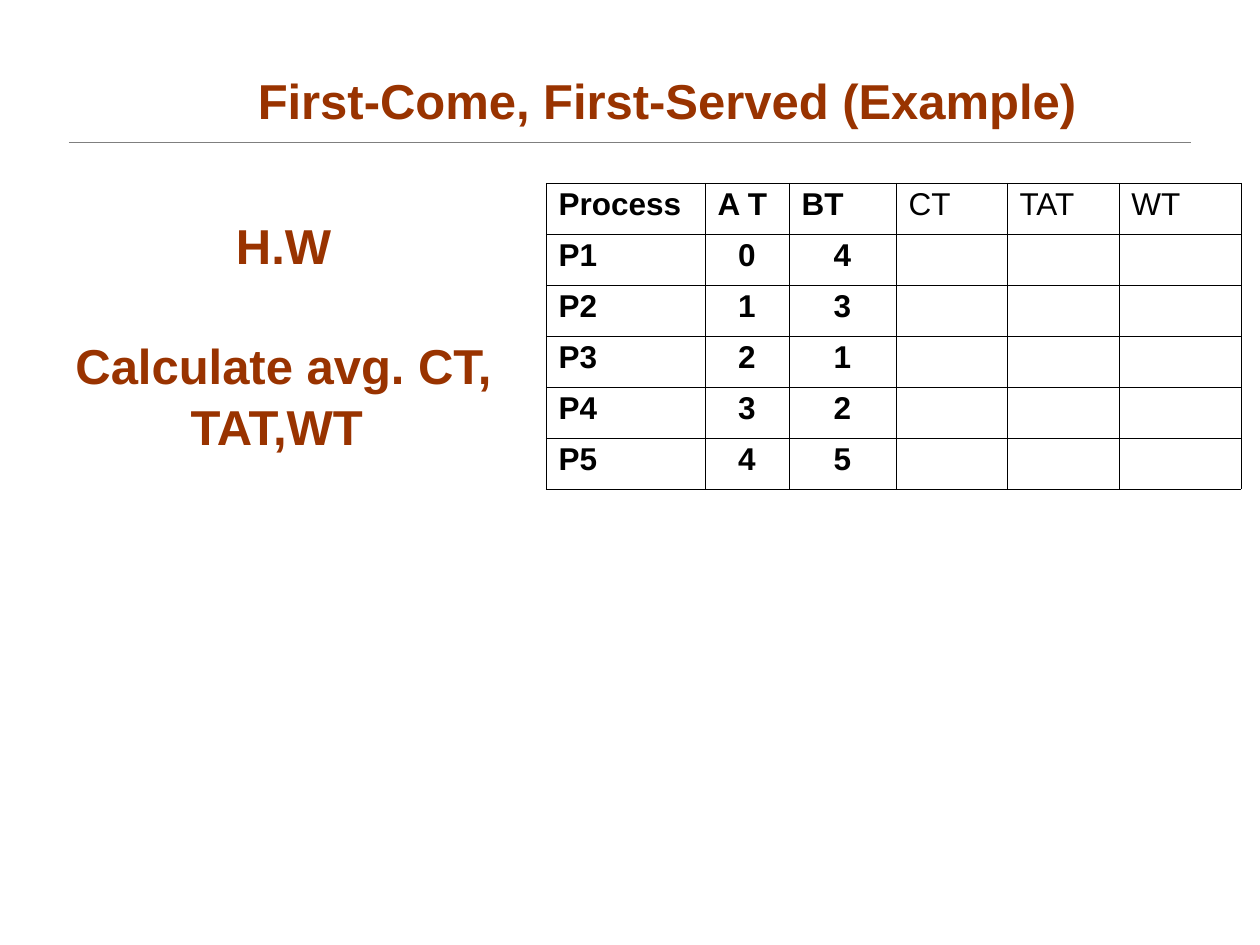
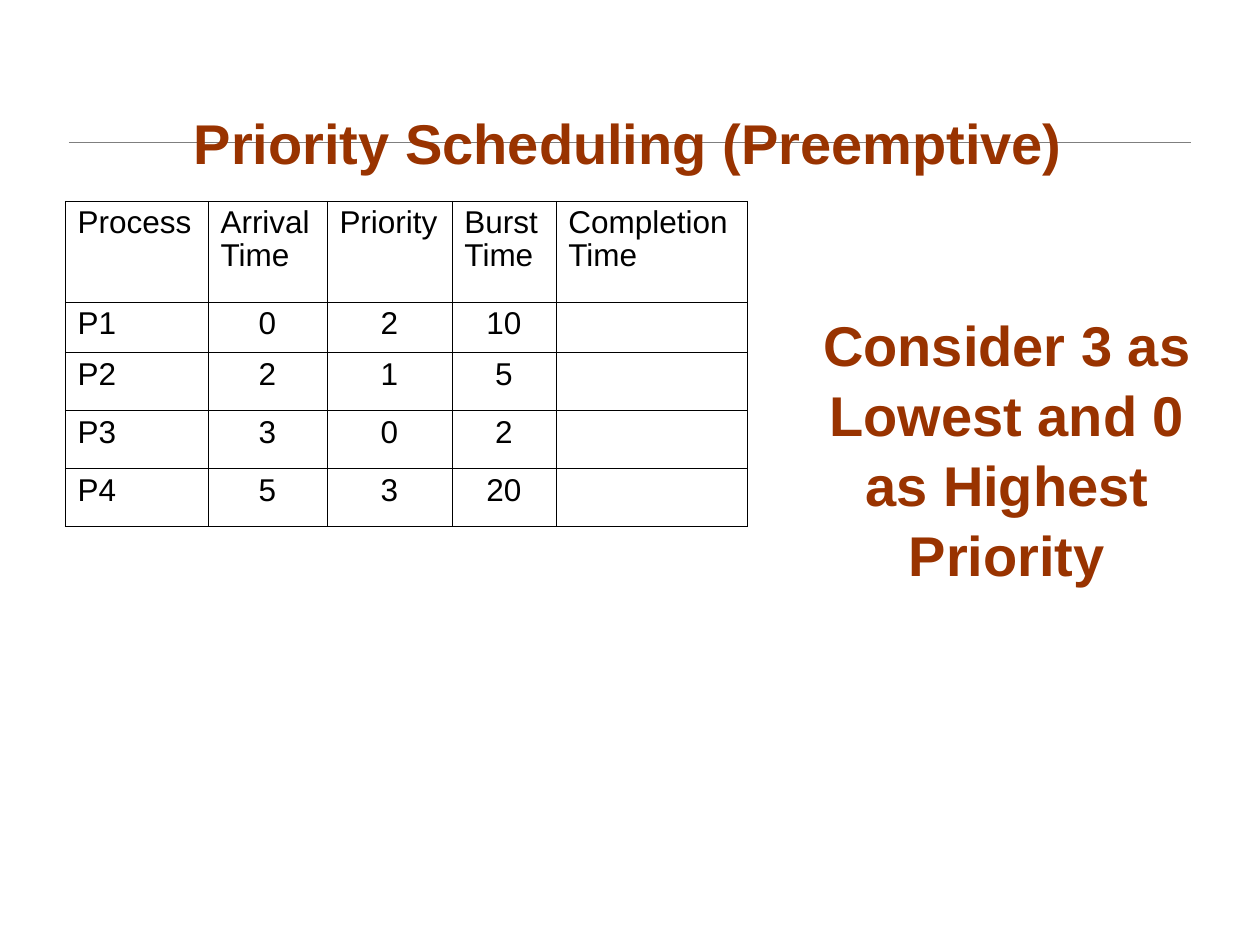
"""Build two CPU scheduling exercise slides, each with a title, a process table and a note."""

from dataclasses import dataclass

import lxml.etree
import pptx
import pptx.dml.color
import pptx.enum.shapes
import pptx.enum.text
import pptx.oxml
import pptx.oxml.ns
import pptx.presentation
import pptx.slide
import pptx.table
import pptx.text.text
import pptx.util

PX_PER_INCH = 126
ALIGN = pptx.enum.text.PP_ALIGN


@dataclass(frozen=True)
class Theme:
    font: str = "Arial"
    heading: str = "993300"
    body: str = "000000"
    rule: str = "7F7F7F"
    border: str = "000000"
    rule_pt: float = 0.25
    border_pt: float = 0.11
    body_pt: int = 18
    heading_spacing: float = 1.04
    cell_spacing: float = 0.94


@dataclass(frozen=True)
class Box:
    left: int
    top: int
    width: int
    height: int


@dataclass(frozen=True)
class Heading:
    box: Box
    lines: tuple[str, ...]
    gap_pt: float = 0


@dataclass(frozen=True)
class ProcessTable:
    left: int
    top: int
    columns: tuple[int, ...]
    heights: tuple[int, ...]
    rows: tuple[tuple[str, ...], ...]
    bold_columns: int = 0


@dataclass(frozen=True)
class Exercise:
    heading_pt: int
    title: Heading
    table: ProcessTable
    note: Heading


THEME = Theme()
RULE = Box(69, 142, 1122, 0)

EXERCISES = (
    Exercise(
        heading_pt=28,
        title=Heading(Box(168, 63, 998, 73), ("First-Come, First-Served (Example)",)),
        table=ProcessTable(
            left=546,
            top=183,
            columns=(159, 84, 107, 111, 112, 122),
            heights=(51,) * 6,
            rows=(
                ("Process", "A T", "BT", "CT", "TAT", "WT"),
                ("P1", "0", "4"),
                ("P2", "1", "3"),
                ("P3", "2", "1"),
                ("P4", "3", "2"),
                ("P5", "4", "5"),
            ),
            bold_columns=3,
        ),
        note=Heading(Box(63, 210, 441, 252), ("H.W", "Calculate avg. CT, TAT,WT "), 33.5),
    ),
    Exercise(
        heading_pt=32,
        title=Heading(Box(93, 92, 1071, 90), ("Priority Scheduling (Preemptive)",)),
        table=ProcessTable(
            left=65,
            top=201,
            columns=(143, 119, 125, 104, 191),
            heights=(101, 50, 58, 58, 58),
            rows=(
                ("Process", "Arrival Time", "Priority", "Burst Time", "Completion Time"),
                ("P1", "0", "2", "10"),
                ("P2", "2", "1", "5"),
                ("P3", "3", "0", "2"),
                ("P4", "5", "3", "20"),
            ),
        ),
        note=Heading(Box(782, 275, 450, 319), ("Consider 3 as Lowest and 0 as Highest Priority",)),
    ),
)


def px(length: int) -> int:
    """Turn pixels into EMU."""
    return pptx.util.Emu(round(length * 914400 / PX_PER_INCH))


def rgb(value: str) -> pptx.dml.color.RGBColor:
    """Turn a hex string into a colour."""
    return pptx.dml.color.RGBColor.from_string(value)


def style_runs(p: pptx.text.text._Paragraph, size: int, color: str, bold: bool) -> None:
    """Format every run of a paragraph."""
    for r in p.runs:
        r.font.name = THEME.font
        r.font.size = pptx.util.Pt(size)
        r.font.bold = bold
        r.font.color.rgb = rgb(color)


def add_rule(s: pptx.slide.Slide) -> None:
    """Draw the thin line under the title area."""
    line = s.shapes.add_connector(
        pptx.enum.shapes.MSO_CONNECTOR.STRAIGHT,
        px(RULE.left), px(RULE.top), px(RULE.left + RULE.width), px(RULE.top),
    )
    line.line.color.rgb = rgb(THEME.rule)
    line.line.width = pptx.util.Pt(THEME.rule_pt)
    lxml.etree.SubElement(line._element.spPr, pptx.oxml.ns.qn("a:effectLst"))


def add_heading(s: pptx.slide.Slide, heading: Heading, size: int) -> None:
    """Add bold centred text resting on the bottom of its box."""
    box = heading.box
    sp = s.shapes.add_textbox(px(box.left), px(box.top), px(box.width), px(box.height))
    tf = sp.text_frame
    tf.word_wrap = True
    tf.vertical_anchor = pptx.enum.text.MSO_ANCHOR.BOTTOM
    tf.text = "\n".join(heading.lines)
    for i, p in enumerate(tf.paragraphs):
        p.alignment = ALIGN.CENTER
        p.line_spacing = THEME.heading_spacing
        if i:
            p.space_before = pptx.util.Pt(heading.gap_pt)
        style_runs(p, size, THEME.heading, True)


def add_borders(cell: pptx.table._Cell) -> None:
    """Give a cell thin lines on all four sides."""
    tc_pr = cell._tc.get_or_add_tcPr()
    width = pptx.util.Pt(THEME.border_pt)
    for i, side in enumerate("LRTB"):
        tc_pr.insert(i, pptx.oxml.parse_xml(
            f'<a:ln{side} {pptx.oxml.ns.nsdecls("a")} w="{width}"><a:solidFill>'
            f'<a:srgbClr val="{THEME.border}"/></a:solidFill></a:ln{side}>'
        ))


def add_process_table(s: pptx.slide.Slide, spec_table: ProcessTable) -> None:
    """Add a ruled process table, leaving the columns to be worked out empty."""
    columns, heights = spec_table.columns, spec_table.heights
    table = s.shapes.add_table(
        len(heights), len(columns), px(spec_table.left), px(spec_table.top),
        px(sum(columns)), px(sum(heights)),
    ).table
    table.first_row = table.horz_banding = False
    for column, width in zip(table.columns, columns):
        column.width = px(width)
    for i, height in enumerate(heights):
        table.rows[i].height = px(height)
        for j in range(len(columns)):
            cell = table.cell(i, j)
            cell.fill.background()
            add_borders(cell)
            p = cell.text_frame.paragraphs[0]
            p.line_spacing = THEME.cell_spacing
            if j < len(spec_table.rows[i]):
                p.text = spec_table.rows[i][j]
                p.alignment = ALIGN.CENTER if i and j else ALIGN.LEFT
                style_runs(p, THEME.body_pt, THEME.body, j < spec_table.bold_columns)


def add_exercise(prs: pptx.presentation.Presentation, exercise: Exercise) -> None:
    """Add one exercise slide."""
    s = prs.slides.add_slide(prs.slide_layouts[6])
    add_rule(s)
    add_heading(s, exercise.title, exercise.heading_pt)
    add_process_table(s, exercise.table)
    add_heading(s, exercise.note, exercise.heading_pt)


def main() -> None:
    """Build and save the presentation."""
    prs = pptx.Presentation()
    prs.slide_width, prs.slide_height = px(1260), px(945)
    for exercise in EXERCISES:
        add_exercise(prs, exercise)
    prs.save("out.pptx")


if __name__ == "__main__":
    main()
